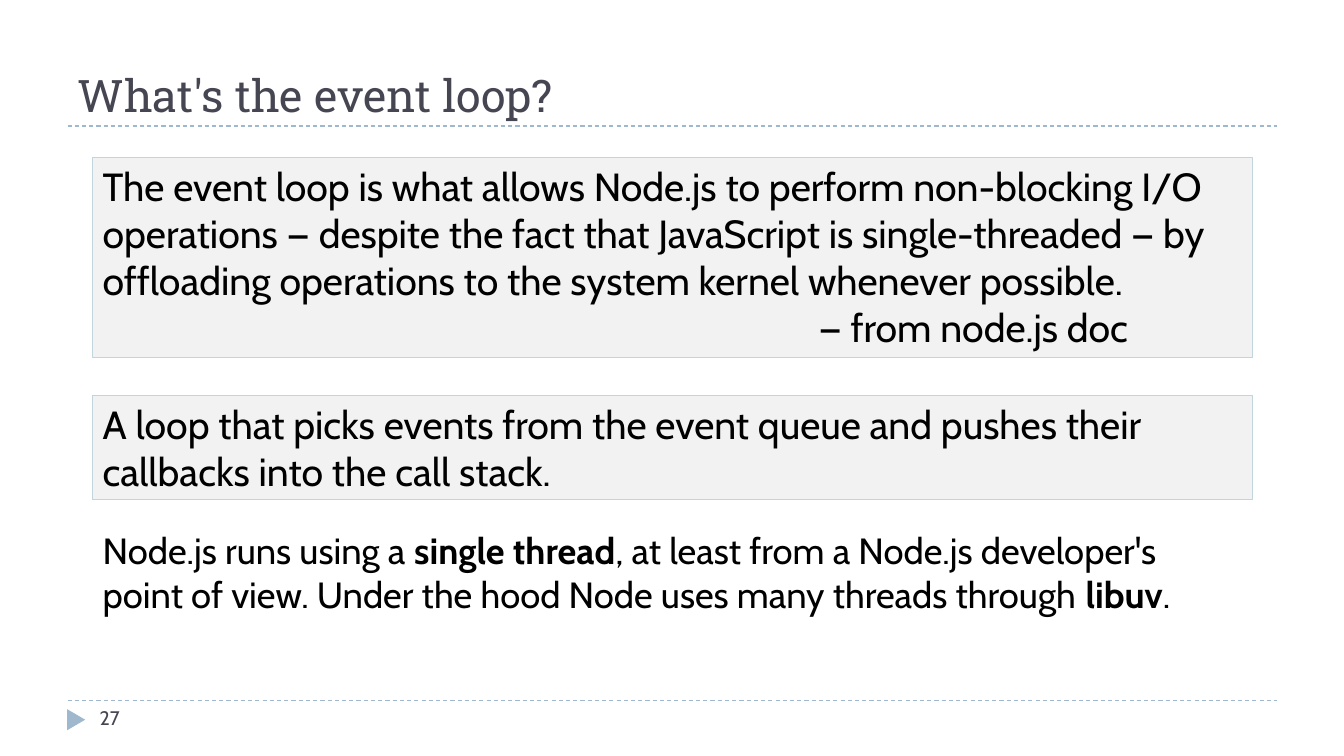
from dataclasses import dataclass

from lxml import etree
from pptx import Presentation
from pptx.dml.color import RGBColor
from pptx.enum.dml import MSO_LINE
from pptx.enum.shapes import MSO_CONNECTOR, MSO_SHAPE
from pptx.enum.text import MSO_ANCHOR, PP_ALIGN
from pptx.oxml.ns import qn
from pptx.util import Inches, Pt


@dataclass(frozen=True)
class Theme:
    heading_font: str = "Roboto Slab"
    body_font: str = "Cabin"
    heading: RGBColor = RGBColor(0x46, 0x46, 0x53)
    text: RGBColor = RGBColor(0, 0, 0)
    accent: RGBColor = RGBColor(0x9F, 0xB8, 0xCD)
    panel: RGBColor = RGBColor(0xF2, 0xF2, 0xF2)
    panel_line: RGBColor = RGBColor(0xC0, 0xD6, 0xDC)
    title_size: Pt = Pt(32)
    quote_size: Pt = Pt(28)
    body_size: Pt = Pt(26)
    number_size: Pt = Pt(14)
    line_width: Pt = Pt(0.75)


theme = Theme()


def write(s, paragraphs, size, font=theme.body_font, color=theme.text, anchor=MSO_ANCHOR.TOP):
    """Fill a shape with paragraphs, each a list of runs; every second run is bold."""
    tf = s.text_frame
    tf.word_wrap = True
    tf.vertical_anchor = anchor
    for i, runs in enumerate(paragraphs):
        p = tf.add_paragraph() if i else tf.paragraphs[0]
        p.alignment = PP_ALIGN.LEFT
        for j, text in enumerate(runs):
            r = p.add_run()
            r.text = text
            r.font.name = font
            r.font.size = size
            r.font.color.rgb = color
            r.font.bold = j % 2 == 1
    return tf


prs = Presentation()
prs.slide_width = Inches(13.33)
prs.slide_height = Inches(7.5)
slide = prs.slides.add_slide(prs.slide_layouts[6])
shapes = slide.shapes

# Dashed rules and page marker
for y in (6.95, 1.25):
    rule = shapes.add_connector(
        MSO_CONNECTOR.STRAIGHT, Inches(0.67), Inches(y), Inches(12.67), Inches(y))
    rule.line.color.rgb = theme.accent
    rule.line.width = theme.line_width
    rule.line.dash_style = MSO_LINE.DASH
    etree.SubElement(rule._element.spPr, qn("a:effectLst"))

marker = shapes.add_shape(
    MSO_SHAPE.ISOSCELES_TRIANGLE, Inches(0.65), Inches(7.05), Inches(0.21), Inches(0.18))
marker.rotation = 90
marker.shadow.inherit = False
marker.fill.solid()
marker.fill.fore_color.rgb = theme.accent
marker.line.fill.background()

# Title and page number
title = shapes.add_textbox(Inches(0.67), Inches(0.17), Inches(12), Inches(1.08))
write(title, [["What's the event loop?"]], theme.title_size,
      theme.heading_font, theme.heading, MSO_ANCHOR.BOTTOM)

number = shapes.add_textbox(Inches(0.89), Inches(6.95), Inches(2.89), Inches(0.4))
write(number, [["27"]], theme.number_size, color=theme.heading)

# Explanation under the panels
body = shapes.add_textbox(Inches(0.92), Inches(5.19), Inches(11.5), Inches(1.06))
tf = write(body, [[
    "Node.js runs using a ", "single thread",
    ", at least from a Node.js developer's point of view. "
    "Under the hood Node uses many threads through ", "libuv", "."]], theme.body_size)
tf.paragraphs[0].space_before = Pt(6)

# Definition panels
definition = [["A loop that picks events from the event queue and pushes their "
               "callbacks into the call stack."]]
quote = [["The event loop is what allows Node.js to perform non-blocking I/O operations "
          "— despite the fact that JavaScript is single-threaded — by offloading "
          "operations to the system kernel whenever possible."],
         ["— from node.js doc"]]
for top, height, paragraphs in ((3.92, 1.04, definition), (1.56, 1.99, quote)):
    panel = shapes.add_shape(
        MSO_SHAPE.RECTANGLE, Inches(0.92), Inches(top), Inches(11.5), Inches(height))
    panel.shadow.inherit = False
    panel.fill.solid()
    panel.fill.fore_color.rgb = theme.panel
    panel.line.color.rgb = theme.panel_line
    panel.line.width = theme.line_width
    tf = write(panel, paragraphs, theme.quote_size)
    for p in tf.paragraphs[1:]:  # attribution sits to the right
        p._p.get_or_add_pPr().set("marL", str(Inches(7.1)))

prs.save("out.pptx")
